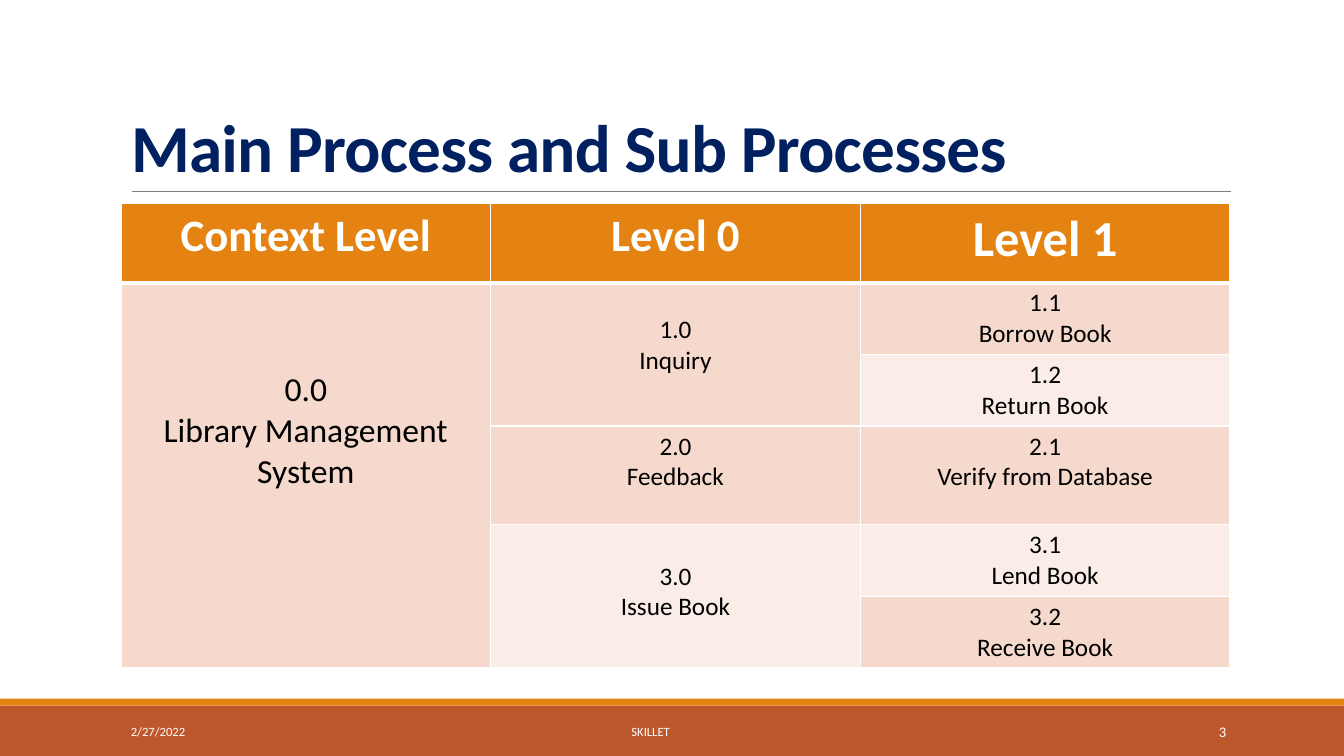
from lxml.etree import SubElement as add_element
from pptx import Presentation
from pptx.dml.color import RGBColor
from pptx.enum.shapes import MSO_CONNECTOR as Connector, MSO_SHAPE as Shape
from pptx.enum.text import MSO_ANCHOR as Anchor, PP_ALIGN as Align
from pptx.oxml.ns import qn
from pptx.util import Inches, Pt

COLORS = {"navy": "002060", "orange": "E48312", "rust": "BD582C", "rule": "808080",
          "white": "FFFFFF", "black": "000000", "peach": "F5D9CC", "pale": "FAEDE7"}
FONT = "Calibri"
TITLE_ONLY = 5


def color(hex_string):
    return RGBColor.from_string(hex_string)


class StyledPage:
    """Adds elements to one slide; lengths are percentages of the slide's size."""

    def __init__(self, deck):
        self.width, self.height = deck.slide_width, deck.slide_height
        self.page = deck.slides.add_slide(deck.slide_layouts[TITLE_ONLY])
        self.shapes = self.page.shapes

    def across(self, share):
        return round(self.width * share / 100)

    def down(self, share):
        return round(self.height * share / 100)

    def area(self, left, top, width, height):
        return self.across(left), self.down(top), self.across(width), self.down(height)

    def set_text(self, frame, lines, size, ink, align=Align.LEFT, bold=False):
        frame.word_wrap = True
        for index, line in enumerate(lines):
            para = frame.paragraphs[0] if index == 0 else frame.add_paragraph()
            para.alignment = align
            span = para.add_run()
            span.text = line
            formats = {"name": FONT, "size": Pt(size), "bold": bold}
            for name, value in formats.items():
                setattr(span.font, name, value)
            span.font.color.rgb = color(COLORS[ink])

    def title(self, text, area):
        box = self.shapes.title
        box.left, box.top, box.width, box.height = self.area(*area)
        frame = box.text_frame
        self.set_text(frame, [text], 48, "navy", bold=True)
        frame.vertical_anchor = Anchor.BOTTOM
        para = frame.paragraphs[0]
        para.line_spacing = 0.85
        para.runs[0].font._element.set("spc", "-50")

    def bar(self, area, fill):
        bar = self.shapes.add_shape(Shape.RECTANGLE, *self.area(*area))
        bar.shadow.inherit = False
        bar.fill.solid()
        bar.fill.fore_color.rgb = color(COLORS[fill])
        bar.line.fill.background()

    def rule(self, left, right, top):
        rule = self.shapes.add_connector(
            Connector.STRAIGHT, self.across(left), self.down(top),
            self.across(right), self.down(top))
        rule.line.color.rgb = color(COLORS["rule"])
        rule.line.width = Pt(0.5)
        add_element(rule._element.spPr, qn("a:effectLst"))

    def label(self, text, area, size, align):
        box = self.shapes.add_textbox(*self.area(*area))
        self.set_text(box.text_frame, [text], size, "white", align)
        box.text_frame.vertical_anchor = Anchor.MIDDLE

    def table(self, left, top, width, columns, row_heights):
        area = self.area(left, top, width, sum(row_heights))
        table = self.shapes.add_table(len(row_heights), columns, *area).table
        for column in table.columns:
            column.width = self.across(width / columns)
        for row, height in zip(table.rows, row_heights):
            row.height = self.down(height)
        return table

    def cell(self, table, row, column, lines, size, fill, span=1, top_margin=0.05):
        """Fills one cell, merged downwards over span rows."""
        is_header = row == 0
        for offset in range(span):
            part = table.cell(row + offset, column)
            self.borders(part, 3 if is_header else 1)
            part.fill.solid()
            part.fill.fore_color.rgb = color(COLORS[fill])
        cell = table.cell(row, column)
        if span > 1:
            cell.merge(table.cell(row + span - 1, column))
        cell.margin_top = Inches(top_margin)
        ink = "white" if is_header else "black"
        self.set_text(cell.text_frame, lines, size, ink, Align.CENTER, is_header)

    def borders(self, cell, bottom_width):
        properties = cell._tc.get_or_add_tcPr()
        for side, width in {"L": 1, "R": 1, "T": 1, "B": bottom_width}.items():
            border = add_element(properties, qn(f"a:ln{side}"), w=str(Pt(width)))
            fill = add_element(border, qn("a:solidFill"))
            add_element(fill, qn("a:srgbClr"), val=COLORS["white"])


def add_process_table(page, left, width):
    heights = [10.47, 9.47, 9.47, 13.07, 9.47, 9.47]
    table = page.table(left, 26.93, width, 3, heights)

    headers = [("Context Level", 32), ("Level 0", 32), ("Level 1", 36)]
    for column, (text, size) in enumerate(headers):
        page.cell(table, 0, column, [text], size, "orange")

    page.cell(table, 1, 0, ["0.0", "Library Management System"], 24, "peach", 5, 0.86)

    main_processes = [
        (1, "1.0", "Inquiry", "peach", 2, 0.32),
        (3, "2.0", "Feedback", "peach", 1, 0.05),
        (4, "3.0", "Issue Book", "pale", 2, 0.36),
    ]
    for row, number, name, fill, span, margin in main_processes:
        page.cell(table, row, 1, [number, name], 18, fill, span, margin)

    sub_processes = [("1.1", "Borrow Book"), ("1.2", "Return Book"),
                     ("2.1", "Verify from Database"),
                     ("3.1", "Lend Book"), ("3.2", "Receive Book")]
    for row, lines in enumerate(sub_processes, start=1):
        page.cell(table, row, 2, lines, 18, "peach" if row % 2 else "pale")


def main():
    deck = Presentation()
    deck.slide_width, deck.slide_height = Inches(13.33), Inches(7.5)
    page = StyledPage(deck)
    left, width = 9, 82.52

    page.bar((0, 93.33, 100, 6.67), "rust")
    page.bar((0, 92.4, 100, 0.93), "orange")
    page.rule(9.83, 91.6, 25.33)
    page.title("Main Process and Sub Processes", (left, 4.13, width, 21.2))
    add_process_table(page, left, width)

    footers = [("2/27/2022", left, 20.26, 9, Align.LEFT),
               ("SKILLET", 28.65, 39.53, 9, Align.CENTER),
               ("3", 81.25, 10.73, 10.5, Align.RIGHT)]
    for text, start, extent, size, align in footers:
        page.label(text, (start, 94.13, extent, 5.33), size, align)

    deck.save("out.pptx")


if __name__ == "__main__":
    main()
